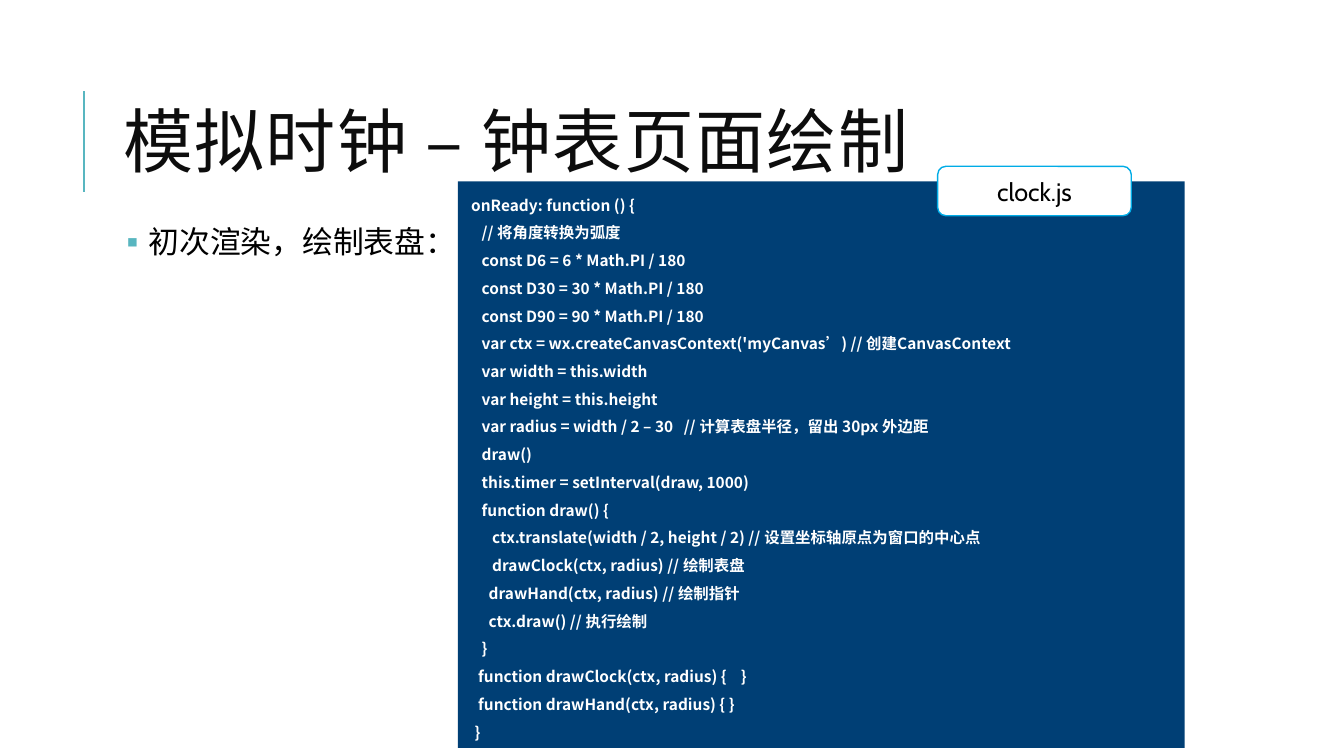
import pptx
import pptx.dml.color
import pptx.enum.shapes
import pptx.enum.text
import pptx.oxml.ns
import pptx.util
from lxml import etree

Inches = pptx.util.Inches
Pt = pptx.util.Pt
Align = pptx.enum.text.PP_ALIGN
Anchor = pptx.enum.text.MSO_ANCHOR
Preset = pptx.enum.shapes.MSO_SHAPE

CODE = """\
 onReady: function () {
    // 将角度转换为弧度
    const D6 = 6 * Math.PI / 180
    const D30 = 30 * Math.PI / 180
    const D90 = 90 * Math.PI / 180
    var ctx = wx.createCanvasContext('myCanvas’) // 创建CanvasContext
    var width = this.width
    var height = this.height
    var radius = width / 2 – 30   // 计算表盘半径，留出 30px 外边距
    draw()
    this.timer = setInterval(draw, 1000)
    function draw() {
       ctx.translate(width / 2, height / 2) // 设置坐标轴原点为窗口的中心点
       drawClock(ctx, radius) // 绘制表盘
      drawHand(ctx, radius) // 绘制指针
      ctx.draw() // 执行绘制
    }
   function drawClock(ctx, radius) {    }
   function drawHand(ctx, radius) { }
  }"""


def color(value):
    return pptx.dml.color.RGBColor.from_string(value)


def add_xml(parent, tag, **attributes):
    return etree.SubElement(parent, pptx.oxml.ns.qn(tag), attributes)


class ClockSlide:
    HEADING_FONT = "Calibri"
    BODY_FONT = "Cabin"
    CJK_FONT = "Noto Sans CJK SC"
    TEAL = "58B6C0"
    NAVY = "003F75"
    CYAN = "00ACE6"
    WHITE = "FFFFFF"
    BLACK = "000000"
    INK = "0D0D0D"

    def __init__(self, deck):
        self.slide = deck.slides.add_slide(deck.slide_layouts[5])

    def set_text(self, frame, text, size, font, fill, bold=False, align=Align.LEFT,
                 spacing=1.0, anchor=Anchor.TOP):
        frame.text = text
        frame.word_wrap = True
        frame.auto_size = pptx.enum.text.MSO_AUTO_SIZE.NONE
        frame.vertical_anchor = anchor
        for paragraph in frame.paragraphs:
            paragraph.alignment = align
            paragraph.line_spacing = spacing
            for run in paragraph.runs:
                run.font.size = Pt(size)
                run.font.bold = bold
                run.font.name = font
                run.font.color.rgb = color(fill)
                add_xml(run.font._element, "a:ea", typeface=self.CJK_FONT)

    def title(self, text, left, top, width, height):
        heading = self.slide.shapes.title
        heading.left, heading.top = Inches(left), Inches(top)
        heading.width, heading.height = Inches(width), Inches(height)
        self.set_text(heading.text_frame, text, 50, self.HEADING_FONT, self.INK,
                      spacing=0.8, anchor=Anchor.MIDDLE)
        for run in heading.text_frame.paragraphs[0].runs:
            run.font._element.set("spc", "100")

    def rule(self, x, top, bottom):
        accent = self.slide.shapes.add_connector(
            pptx.enum.shapes.MSO_CONNECTOR.STRAIGHT,
            Inches(x), Inches(bottom), Inches(x), Inches(top))
        accent.line.color.rgb = color(self.TEAL)
        accent.line.width = Pt(1.5)
        add_xml(accent._element.spPr, "a:effectLst")

    def panel(self, preset, left, top, width, height, fill, outline=None):
        panel = self.slide.shapes.add_shape(
            preset, Inches(left), Inches(top), Inches(width), Inches(height))
        panel.shadow.inherit = False
        panel.fill.solid()
        panel.fill.fore_color.rgb = color(fill)
        if outline:
            panel.line.color.rgb = color(outline)
            panel.line.width = Pt(1)
        else:
            panel.line.fill.background()
        return panel

    def code(self, text, *place):
        listing = self.panel(Preset.RECTANGLE, *place, self.NAVY)
        self.set_text(listing.text_frame, text, 11, self.CJK_FONT, self.WHITE,
                      bold=True, spacing=1.5)

    def file_tag(self, text, *place):
        tag = self.panel(Preset.ROUNDED_RECTANGLE, *place, self.WHITE, self.CYAN)
        self.set_text(tag.text_frame, text, 18, self.BODY_FONT, self.BLACK,
                      align=Align.CENTER, anchor=Anchor.MIDDLE)

    def bullet(self, text, left, top, width, height):
        frame = self.slide.shapes.add_textbox(
            Inches(left), Inches(top), Inches(width), Inches(height)).text_frame
        frame.margin_left = frame.margin_right = Inches(0.05)
        frame.margin_top = frame.margin_bottom = Inches(0.05)
        self.set_text(frame, text, 22, self.BODY_FONT, self.BLACK, spacing=0.9)
        point = frame.paragraphs[0]
        point.space_after = Pt(2)
        properties = point._p.get_or_add_pPr()
        properties.set("marL", str(Inches(0.1)))
        properties.set("indent", str(Inches(-0.1)))
        add_xml(add_xml(properties, "a:buClr"), "a:srgbClr", val=self.TEAL)
        add_xml(properties, "a:buFont", typeface=self.CJK_FONT)
        add_xml(properties, "a:buChar", char="▪")


def main():
    deck = pptx.Presentation()
    deck.slide_width, deck.slide_height = Inches(13.33), Inches(7.5)
    page = ClockSlide(deck)
    page.rule(0.83, 0.9, 1.9)
    page.title("模拟时钟 – 钟表页面绘制", 1.12, 0.64, 10.63, 1.64)
    page.code(CODE, 4.54, 1.8, 7.21, 5.62)
    page.file_tag("clock.js", 9.3, 1.65, 1.92, 0.49)
    page.bullet("初次渲染，绘制表盘：", 1.12, 2.2, 11.43, 0.87)
    deck.save("out.pptx")


if __name__ == "__main__":
    main()
